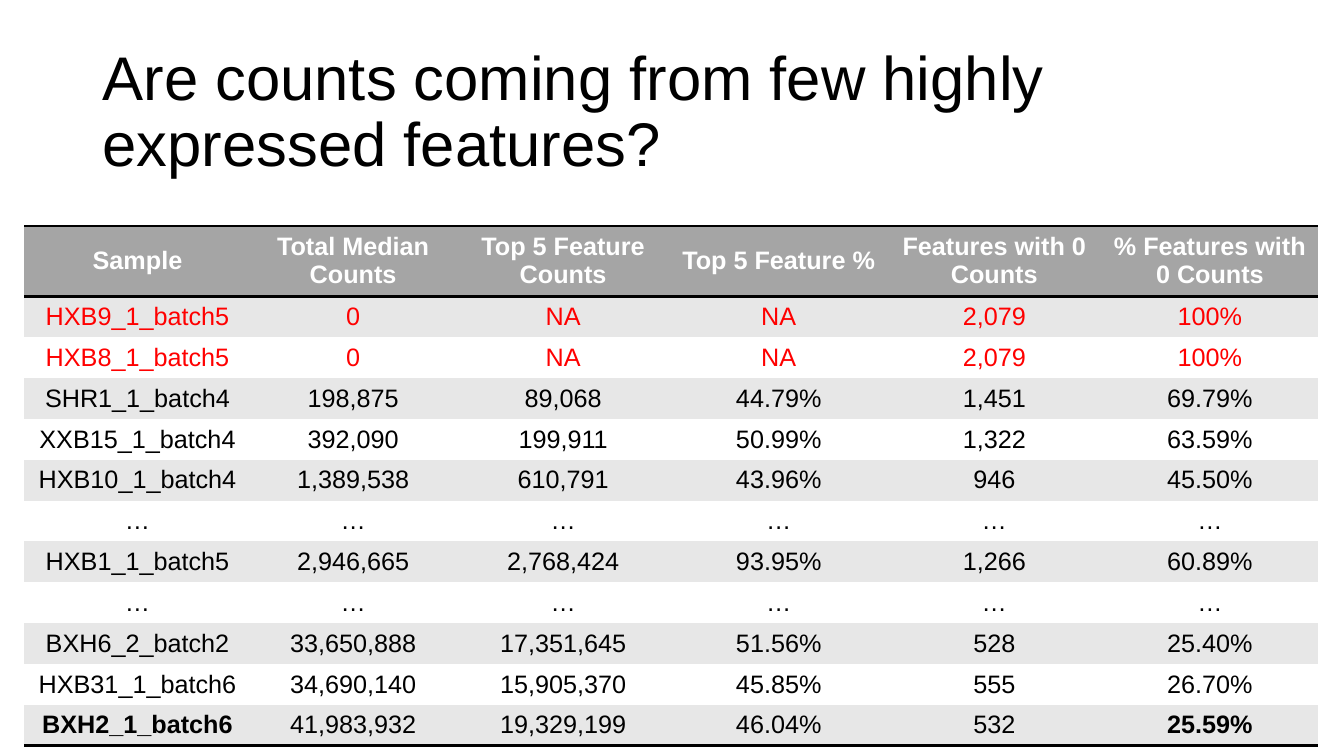
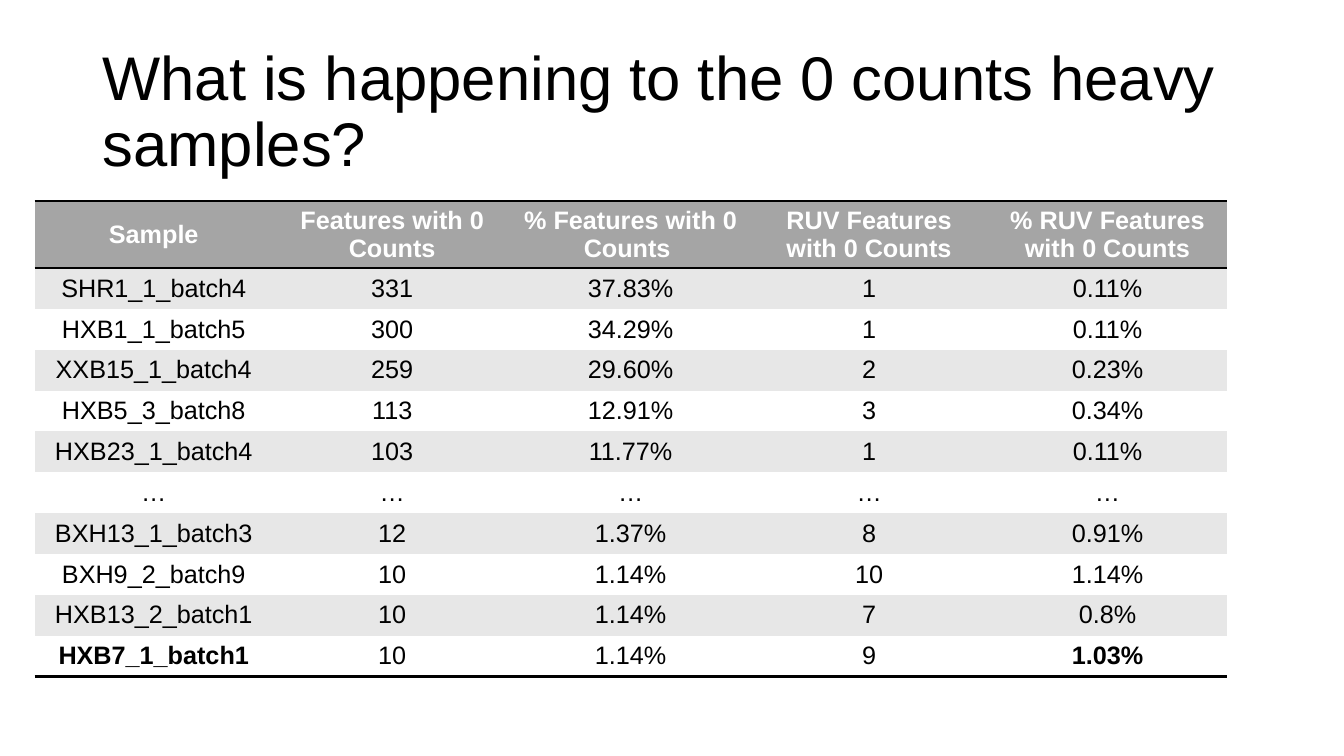
import pptx
import pptx.util
import pptx.dml.color
import pptx.enum.text
import pptx.oxml
import pptx.oxml.ns

BLACK, WHITE, RED = "000000", "FFFFFF", "FF0000"
GREY, PALE = "A5A5A5", "E7E7E7"
FONT = "Arial"
PLAIN = "{2D5ABB26-0587-4C30-8999-92F81FD0307C}"
DOTS = "…"


def color(code):
    return pptx.dml.color.RGBColor.from_string(code)


class Deck:
    def __init__(self):
        self.file = pptx.Presentation()
        self.file.slide_width = pptx.util.Inches(13.33)
        self.file.slide_height = pptx.util.Inches(7.5)
        self.slide = None

    def wide(self, share):
        return round(self.file.slide_width * share / 100)

    def high(self, share):
        return round(self.file.slide_height * share / 100)

    def box(self, left, top, width, height):
        return self.wide(left), self.high(top), self.wide(width), self.high(height)

    def text(self, para, words, size, ink, bold=False):
        run = para.add_run()
        run.text = words
        run.font.name = FONT
        run.font.size = pptx.util.Pt(size)
        run.font.bold = bold
        run.font.color.rgb = color(ink)

    def title(self, words):
        self.slide = self.file.slides.add_slide(self.file.slide_layouts[5])
        head = self.slide.shapes.title
        head.left, head.top, head.width, head.height = self.box(6.88, 5.33, 86.25, 19.33)
        frame = head.text_frame
        frame.word_wrap = True
        frame.auto_size = pptx.enum.text.MSO_AUTO_SIZE.NONE
        frame.vertical_anchor = pptx.enum.text.MSO_ANCHOR.MIDDLE
        para = frame.paragraphs[0]
        para.alignment = pptx.enum.text.PP_ALIGN.LEFT
        para.line_spacing = 0.9
        self.text(para, words, 44, BLACK)

    def rule(self, cell, side):
        line = pptx.oxml.parse_xml(
            f'<a:ln{side} {pptx.oxml.ns.nsdecls("a")} w="{pptx.util.Pt(2)}">'
            f'<a:solidFill><a:srgbClr val="{BLACK}"/></a:solidFill></a:ln{side}>')
        cell._tc.get_or_add_tcPr().append(line)

    def cell(self, cell, words, fill, ink, bold, sides):
        for side in sides:
            self.rule(cell, side)
        cell.fill.solid()
        cell.fill.fore_color.rgb = color(fill)
        cell.vertical_anchor = pptx.enum.text.MSO_ANCHOR.MIDDLE
        para = cell.text_frame.paragraphs[0]
        para.alignment = pptx.enum.text.PP_ALIGN.CENTER
        self.text(para, words, 18, ink, bold)

    def table(self, place, head, parts, rows, reds=0):
        area = self.box(*place)
        last = len(rows) - 1
        edge = len(parts) - 1
        frame = self.slide.shapes.add_table(len(rows), len(parts), *area)
        for style in frame.element.iter(pptx.oxml.ns.qn("a:tableStyleId")):
            style.text = PLAIN
        grid = frame.table
        for col, part in zip(grid.columns, parts):
            col.width = round(area[2] * part / sum(parts))
        for r, row in enumerate(rows):
            first = r == 0
            grid.rows[r].height = self.high(head if first else (place[3] - head) / last)
            fill = GREY if first else PALE if r % 2 else WHITE
            ink = WHITE if first else RED if r <= reds else BLACK
            sides = "TB" if first else "B" if r == last else ""
            for c, words in enumerate(row):
                bold = first or (r == last and c in (0, edge))
                self.cell(grid.cell(r, c), words, fill, ink, bold, sides)


deck = Deck()

deck.title("Are counts coming from few highly expressed features?")
counts = [
    ["Sample", "Total Median Counts", "Top 5 Feature Counts", "Top 5 Feature %",
     "Features with 0 Counts", "% Features with 0 Counts"],
    ["HXB9_1_batch5", "0", "NA", "NA", "2,079", "100%"],
    ["HXB8_1_batch5", "0", "NA", "NA", "2,079", "100%"],
    ["SHR1_1_batch4", "198,875", "89,068", "44.79%", "1,451", "69.79%"],
    ["XXB15_1_batch4", "392,090", "199,911", "50.99%", "1,322", "63.59%"],
    ["HXB10_1_batch4", "1,389,538", "610,791", "43.96%", "946", "45.50%"],
    [DOTS] * 6,
    ["HXB1_1_batch5", "2,946,665", "2,768,424", "93.95%", "1,266", "60.89%"],
    [DOTS] * 6,
    ["BXH6_2_batch2", "33,650,888", "17,351,645", "51.56%", "528", "25.40%"],
    ["HXB31_1_batch6", "34,690,140", "15,905,370", "45.85%", "555", "26.70%"],
    ["BXH2_1_batch6", "41,983,932", "19,329,199", "46.04%", "532", "25.59%"],
]
deck.table((1.8, 29.87, 96.25, 68.8), 9.33, [2.25, 2.03] + [2.14] * 4, counts, reds=2)

deck.title("What is happening to the 0 counts heavy samples?")
zeros = [
    ["Sample", "Features with 0 Counts", "% Features with 0 Counts ",
     "RUV Features with 0 Counts", "% RUV Features with 0 Counts"],
    ["SHR1_1_batch4", "331", "37.83%", "1", "0.11%"],
    ["HXB1_1_batch5", "300", "34.29%", "1", "0.11%"],
    ["XXB15_1_batch4", "259", "29.60%", "2", "0.23%"],
    ["HXB5_3_batch8", "113", "12.91%", "3", "0.34%"],
    ["HXB23_1_batch4", "103", "11.77%", "1", "0.11%"],
    [DOTS] * 5,
    ["BXH13_1_batch3", "12", "1.37%", "8", "0.91%"],
    ["BXH9_2_batch9", "10", "1.14%", "10", "1.14%"],
    ["HXB13_2_batch1", "10", "1.14%", "7", "0.8%"],
    ["HXB7_1_batch1", "10", "1.14%", "9", "1.03%"],
]
deck.table((2.57, 26.6, 88.72, 62.93), 8.87, [1] * 5, zeros)

deck.file.save("out.pptx")
